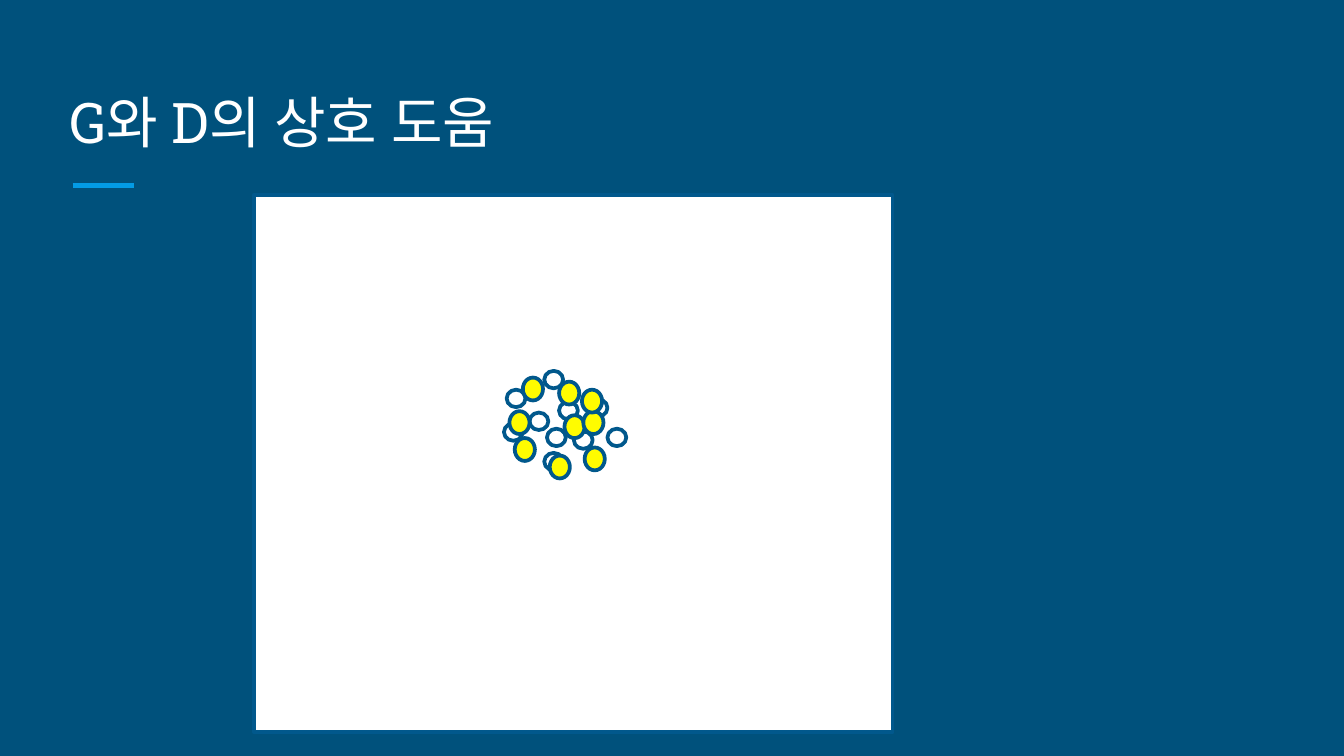
from dataclasses import dataclass

from lxml.etree import SubElement
from pptx import Presentation
from pptx.dml.color import RGBColor
from pptx.enum.lang import MSO_LANGUAGE_ID
from pptx.enum.shapes import MSO_CONNECTOR, MSO_SHAPE
from pptx.enum.text import MSO_ANCHOR
from pptx.oxml.ns import qn
from pptx.util import Inches, Pt


@dataclass(frozen=True)
class Theme:
    background: str = "00517C"
    accent: str = "039BE5"
    outline: str = "01588C"
    white: str = "FFFFFF"
    yellow: str = "FFFC00"
    font: str = "Roboto Slab"
    title_size: int = 30
    accent_width: int = 3
    outline_width: int = 2


class SlideBuilder:
    def __init__(self, slide, theme):
        self.slide = slide
        self.theme = theme

    def background(self):
        fill = self.slide.background.fill
        fill.solid()
        fill.fore_color.rgb = RGBColor.from_string(self.theme.background)

    def style_line(self, line, color, width):
        line.color.rgb = RGBColor.from_string(color)
        line.width = Pt(width)

    def accent_line(self, left, right, top):
        connector = self.slide.shapes.add_connector(
            MSO_CONNECTOR.STRAIGHT, *map(Inches, (left, top, right, top)))
        self.style_line(connector.line, self.theme.accent, self.theme.accent_width)
        SubElement(connector._element.spPr, qn("a:effectLst"))

    def shape(self, kind, left, top, width, height, fill):
        shape = self.slide.shapes.add_shape(
            kind, *map(Inches, (left, top, width, height)))
        shape.shadow.inherit = False
        shape.fill.solid()
        shape.fill.fore_color.rgb = RGBColor.from_string(fill)
        self.style_line(shape.line, self.theme.outline, self.theme.outline_width)

    def dots(self, positions, width, height, fill):
        for left, top in positions:
            self.shape(MSO_SHAPE.OVAL, left, top, width, height, fill)

    def title(self, text, left, top, width, height):
        box = self.slide.shapes.add_textbox(
            *map(Inches, (left, top, width, height)))
        frame_format = {
            "word_wrap": True,
            "vertical_anchor": MSO_ANCHOR.BOTTOM,
            **{f"margin_{side}": Inches(0.1)
               for side in ("left", "right", "top", "bottom")},
        }
        for name, value in frame_format.items():
            setattr(box.text_frame, name, value)
        run = box.text_frame.paragraphs[0].add_run()
        run.text = text
        font_format = {
            "name": self.theme.font,
            "size": Pt(self.theme.title_size),
            "language_id": MSO_LANGUAGE_ID.KOREAN,
        }
        for name, value in font_format.items():
            setattr(run.font, name, value)
        run.font.color.rgb = RGBColor.from_string(self.theme.white)
        # Hangul takes its typeface from the East Asian font setting.
        SubElement(run._r.get_or_add_rPr(), qn("a:ea"), typeface=self.theme.font)


WHITE_DOTS = [
    (3.77, 2.9), (3.94, 3.07), (4.05, 2.76), (4.38, 2.97), (3.75, 3.15),
    (4.27, 3.21), (4.05, 3.37), (4.52, 3.19), (4.07, 3.19), (4.16, 2.99),
]
YELLOW_DOTS = [
    (4.09, 3.39), (4.35, 3.33), (4.2, 3.09), (4.34, 3.06), (4.16, 2.84),
    (3.79, 3.06), (3.89, 2.81), (4.33, 2.9), (3.83, 3.26),
]


def main():
    presentation = Presentation()
    presentation.slide_width = Inches(10)
    presentation.slide_height = Inches(10 * 9 / 16)
    slide = presentation.slides.add_slide(presentation.slide_layouts[6])
    theme = Theme()
    builder = SlideBuilder(slide, theme)

    builder.background()
    builder.accent_line(0.54, 1, 1.38)
    builder.shape(MSO_SHAPE.RECTANGLE, 1.89, 1.45, 4.75, 4, theme.white)
    builder.title("G와 D의 상호 도움", 0.42, 0.5, 9.15, 0.75)
    builder.dots(WHITE_DOTS, 0.14, 0.13, theme.white)
    builder.dots(YELLOW_DOTS, 0.15, 0.17, theme.yellow)

    presentation.save("out.pptx")


if __name__ == "__main__":
    main()
